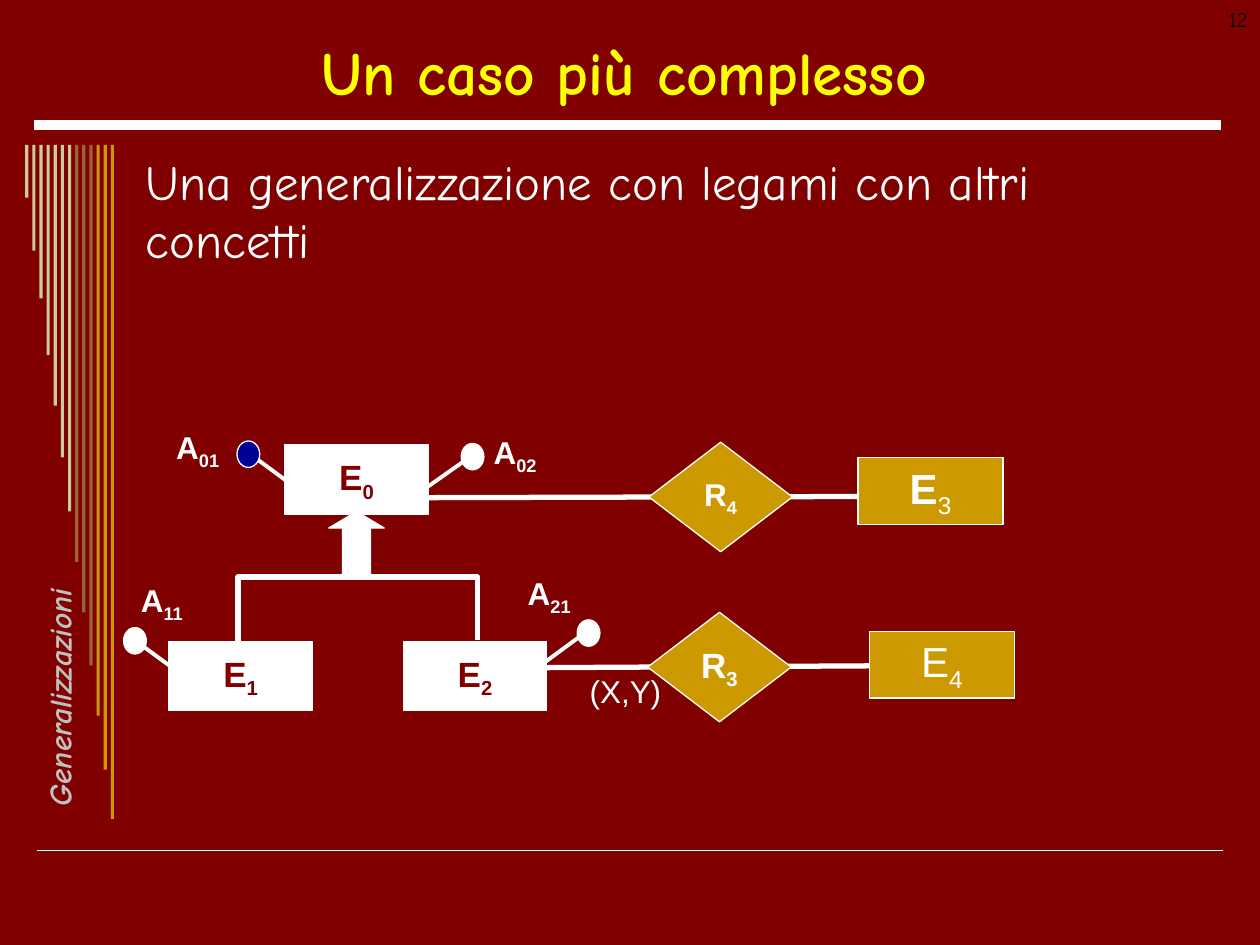
from lxml import etree
from pptx import Presentation
from pptx.dml.color import RGBColor
from pptx.enum import shapes, text
from pptx.oxml.ns import qn
from pptx.util import Pt

MAROON = RGBColor(0x80, 0x00, 0x00)
WHITE = RGBColor(0xFF, 0xFF, 0xFF)
YELLOW = RGBColor(0xFF, 0xFF, 0x00)
GOLD = RGBColor(0xCC, 0x99, 0x00)
BROWN = RGBColor(0x99, 0x66, 0x33)
SAND = RGBColor(0xCC, 0xCC, 0x99)
NAVY = RGBColor(0x00, 0x00, 0x99)
SILVER = RGBColor(0xC0, 0xC0, 0xC0)
BLACK = RGBColor(0, 0, 0)
COMIC, ARIAL = "Comic Neue", "Arial"
KIND, ALIGN = shapes.MSO_SHAPE, text.PP_ALIGN

# All lengths are points.
RULES = [(20.9, 486, 699.1, 486, 1), (19.4, 71.3, 697.7, 71.3, 6)]
BAR_LEFT, BAR_TOP, BAR_STEP, BAR_WIDTH = 14.4, 82.8, 4.08, 1.8
BARS = [(SAND, (30.2, 60.5, 87.8, 120.2, 149, 178.6, 209.5)),
        (BROWN, (238.3, 267.1, 297.4)),
        (GOLD, (326.2, 357.1, 385.2))]

# text, box, size, colour, bold, alignment, anchor
TEXTS = [
    ("Un caso più complesso", (25.2, 15.1, 663.1, 51.1), 35, YELLOW, True,
     ALIGN.CENTER, text.MSO_ANCHOR.MIDDLE),
    ("Una generalizzazione con legami con altri concetti",
     (76.3, 82.8, 613.4, 396.7), 28, WHITE, False, ALIGN.LEFT, text.MSO_ANCHOR.TOP),
    ("12", (552.2, 0, 167.8, 36), 12, BLACK, False, ALIGN.RIGHT, text.MSO_ANCHOR.TOP),
]
SIDE_LABEL = ("Generalizzazioni", (-54, 377.3, 164.2, 17.3))

RELATION_LINES = [(295.9, 381.6, 551.5, 380.2), (244.1, 284.4, 499.7, 283.7)]
ARROW = (187.9, 292.3, 31.7, 37.4)
BRACKET = [(136.1, 367.9), (136.1, 329.8), (272.9, 329.8), (272.9, 365.8)]

# name, subscript, left, top
ENTITIES = [("E", "0", 162.7, 254.2), ("E", "1", 96.5, 366.5), ("E", "2", 230.4, 366.5)]
ENTITY_SIZE = (82.1, 39.6)

# subscript, label left and top, dot left and top, dot colour, stem
ATTRIBUTES = [
    ("11", (73.4, 328.3), (70.6, 358.6), WHITE, (101.5, 383.8, 77, 365.8)),
    ("01", (93.6, 241.2), (135.4, 252), NAVY, (167, 277.2, 142.6, 259.2)),
    ("02", (275, 244.1), (263.5, 253.4), WHITE, (244.8, 277.9, 269.3, 260.6)),
    ("21", (294.5, 324.7), (329.8, 354.2), WHITE, (311, 378.7, 335.5, 360.7)),
]
DOT_SIZE, LABEL_SIZE = (13, 15.1), (53.3, 31.7)

# kind, name, subscript, box, size, bold name, bold subscript
LINKED = [
    (KIND.DIAMOND, "R", "4", (370.8, 252.7, 82.1, 62.6), 18, True, True),
    (KIND.RECTANGLE, "E", "3", (490.3, 261.4, 82.8, 38.2), 24, True, False),
    (KIND.RECTANGLE, "E", "4", (496.8, 360.7, 82.8, 38.2), 24, False, False),
    (KIND.DIAMOND, "R", "3", (370.1, 349.9, 82.1, 62.6), 20, True, True),
]
CARDINALITY = ("(X,Y)", (329.8, 380.2, 56.2, 28.8))


def add_line(s, ends, width):
    c = s.shapes.add_connector(shapes.MSO_CONNECTOR.STRAIGHT, *map(Pt, ends))
    c.line.color.rgb = WHITE
    c.line.width = Pt(width)
    etree.SubElement(c._element.spPr, qn("a:effectLst"))


def add_shape(s, kind, box, fill, outline=True):
    sp = s.shapes.add_shape(kind, *map(Pt, box))
    sp.shadow.inherit = False
    sp.fill.solid()
    sp.fill.fore_color.rgb = fill
    if outline:
        sp.line.color.rgb = WHITE
        sp.line.width = Pt(0.75)
    else:
        sp.line.fill.background()
    return sp


def add_run(p, words, size, color, font=ARIAL, bold=False):
    r = p.add_run()
    r.text = words
    r.font.size, r.font.name, r.font.bold = Pt(size), font, bold
    r.font.color.rgb = color
    return r


def add_name(p, name, sub, size, color, bold=True, sub_bold=True):
    """Write a name followed by its subscript."""
    add_run(p, name, size, color, bold=bold)
    r = add_run(p, sub, size, color, bold=sub_bold)
    r.font._element.set("baseline", "-25000")


def add_box(s, box, wrap=True):
    sp = s.shapes.add_textbox(*map(Pt, box))
    sp.text_frame.word_wrap = wrap
    return sp


def name_shape(sp, *name):
    """Centre a subscripted name inside a shape."""
    tf = sp.text_frame
    tf.word_wrap = False
    tf.vertical_anchor = text.MSO_ANCHOR.MIDDLE
    tf.paragraphs[0].alignment = ALIGN.CENTER
    add_name(tf.paragraphs[0], *name)


def add_frame(s):
    """Draw the rules, the bars and the side label."""
    for *ends, width in RULES:
        add_line(s, ends, width)
    bars = [(color, h) for color, heights in BARS for h in heights]
    for i, (color, height) in enumerate(bars):
        box = (BAR_LEFT + i * BAR_STEP, BAR_TOP, BAR_WIDTH, height)
        add_shape(s, KIND.RECTANGLE, box, color, outline=False)
    words, box = SIDE_LABEL
    sp = add_box(s, box, wrap=False)
    sp.rotation = 270
    r = add_run(sp.text_frame.paragraphs[0], words, 18, SILVER, COMIC, True)
    r.font.italic = True


def add_diagram(s):
    for ends in RELATION_LINES:
        add_line(s, ends, 3)
    for _, _, dot, color, stem in ATTRIBUTES:
        add_line(s, stem, 2.25)
        add_shape(s, KIND.OVAL, dot + DOT_SIZE, color)
    for name, sub, left, top in ENTITIES:
        sp = add_shape(s, KIND.RECTANGLE, (left, top) + ENTITY_SIZE, WHITE)
        name_shape(sp, name, sub, 20, MAROON)

    arrow = add_shape(s, KIND.UP_ARROW, ARROW, WHITE)
    arrow.adjustments[0], arrow.adjustments[1] = 0.5, 0.297
    points = [(Pt(x), Pt(y)) for x, y in BRACKET]
    fb = s.shapes.build_freeform(*points[0])
    fb.add_line_segments(points[1:], close=False)
    bracket = fb.convert_to_shape()
    bracket.shadow.inherit = False
    bracket.fill.background()
    bracket.line.color.rgb = WHITE
    bracket.line.width = Pt(3)

    for sub, label, *_ in ATTRIBUTES:
        sp = add_box(s, label + LABEL_SIZE)
        add_name(sp.text_frame.paragraphs[0], "A", sub, 18, WHITE)
    for kind, name, sub, box, size, bold, sub_bold in LINKED:
        sp = add_shape(s, kind, box, GOLD)
        name_shape(sp, name, sub, size, WHITE, bold, sub_bold)
    words, box = CARDINALITY
    add_run(add_box(s, box).text_frame.paragraphs[0], words, 18, WHITE)


def main():
    prs = Presentation()
    prs.slide_width, prs.slide_height = Pt(720), Pt(540)
    s = prs.slides.add_slide(prs.slide_layouts[6])
    s.background.fill.solid()
    s.background.fill.fore_color.rgb = MAROON
    add_frame(s)
    for words, box, size, color, bold, align, anchor in TEXTS:
        tf = add_box(s, box).text_frame
        tf.vertical_anchor = anchor
        tf.paragraphs[0].alignment = align
        add_run(tf.paragraphs[0], words, size, color, COMIC, bold)
    add_diagram(s)
    prs.save("out.pptx")


if __name__ == "__main__":
    main()
